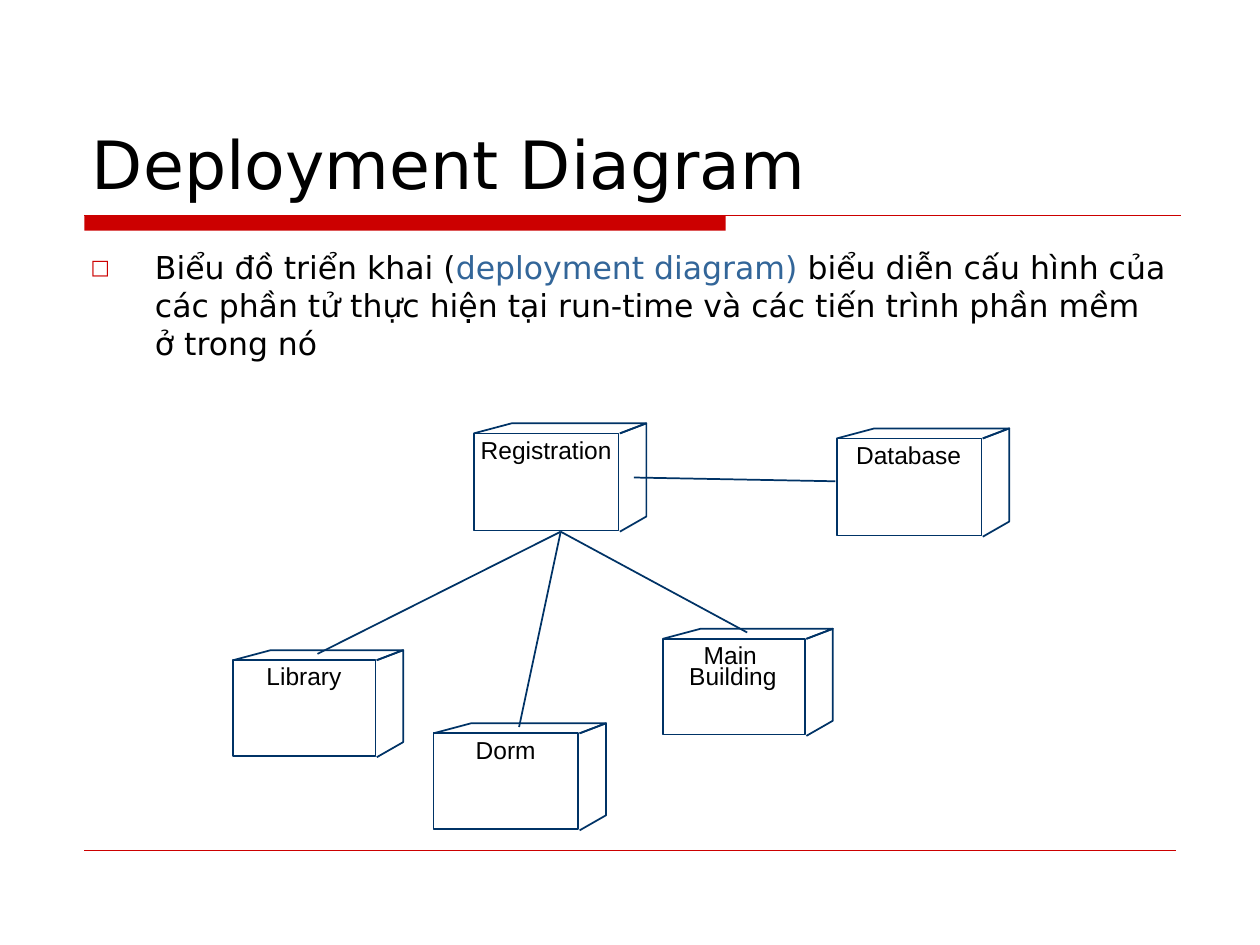
from lxml import etree
from pptx import Presentation
from pptx.dml.color import RGBColor
from pptx.enum.shapes import MSO_CONNECTOR, MSO_SHAPE
from pptx.enum.text import MSO_ANCHOR, MSO_AUTO_SIZE, PP_ALIGN
from pptx.oxml.ns import qn
from pptx.util import Emu, Pt

RED = RGBColor(0xCC, 0x00, 0x00)
NAVY = RGBColor(0x00, 0x33, 0x66)
BLUE = RGBColor(0x33, 0x66, 0x99)
BLACK = RGBColor(0x00, 0x00, 0x00)
RECT, STRAIGHT = MSO_SHAPE.RECTANGLE, MSO_CONNECTOR.STRAIGHT
LEFT = PP_ALIGN.LEFT
TOP, BOTTOM = MSO_ANCHOR.TOP, MSO_ANCHOR.BOTTOM
NO_FIT, GROW = MSO_AUTO_SIZE.NONE, MSO_AUTO_SIZE.SHAPE_TO_FIT_TEXT
HEAD_FONT, LABEL_FONT = "DejaVu Sans", "Arial"
COLS, ROWS = 100, 75
UNIT = 91440

NODES = [
    ((37.6, 33.6, 13.7, 8.6), [("Registration", 10.4)]),
    ((66.4, 34, 13.7, 8.6), [("Database", 8.4)]),
    ((18.5, 51.6, 13.5, 8.5), [("Library", 6)]),
    ((34.4, 57.4, 13.7, 8.5), [("Dorm", 4.8)]),
    ((52.6, 49.9, 13.5, 8.5), [("Main", 4.8), ("Building", 7.1)]),
]
HUB = (44.5, 42.2)
LINKS = [
    (HUB, (25.2, 51.9)),
    (HUB, (41.2, 57.7)),
    (HUB, (59.3, 50.2)),
    ((50.3, 37.9), (66.3, 38.2)),
]


def grid(*cells):
    """Turn grid columns and rows into slide lengths."""
    return [Emu(round(c * UNIT)) for c in cells]


def add_run(p, text, font, size, color):
    """Append one formatted run to a paragraph."""
    r = p.add_run()
    r.text = text
    r.font.name, r.font.size = font, Pt(size)
    r.font.color.rgb = color


def add_line(shapes, start, end, color, width):
    """Draw a straight line without shadow."""
    c = shapes.add_connector(STRAIGHT, *grid(*start, *end))
    c.line.color.rgb, c.line.width = color, Pt(width)
    etree.SubElement(c._element.spPr, qn("a:effectLst"))


def outline(sp):
    """Give a node face a navy outline and no fill."""
    sp.shadow.inherit = False
    sp.fill.background()
    sp.line.color.rgb, sp.line.width = NAVY, Pt(1)


def add_face(shapes, points):
    """Draw an open outline through the points."""
    start, *rest = [grid(*pt) for pt in points]
    fb = shapes.build_freeform(*start, scale=1.0)
    fb.add_line_segments(rest, close=False)
    outline(fb.convert_to_shape())


def add_label(shapes, box, text):
    """Write one unwrapped label line that grows with its text."""
    tf = shapes.add_textbox(*grid(*box)).text_frame
    tf.word_wrap, tf.auto_size = False, GROW
    tf.margin_left = tf.margin_right = tf.margin_top = tf.margin_bottom = 0
    p = tf.paragraphs[0]
    p.alignment = LEFT
    add_run(p, text, LABEL_FONT, 14, BLACK)


def add_node(shapes, box, labels):
    """Draw a deployment node as a box with its label lines."""
    x, y, w, h = box
    right, edge, top = x + w, x + w - 2.1, y + 0.8
    front = w - 2.2
    outline(shapes.add_shape(RECT, *grid(x, top, front, h - 0.9)))
    add_face(shapes, [(x, top), (x + 3, y), (right, y), (edge, top)])
    add_face(shapes, [(edge, top), (right, y),
                      (right, y + h - 1.2), (edge, y + h)])
    for i, (text, width) in enumerate(labels):
        left = x + (front - width) / 2
        add_label(shapes, (left, top + 0.1 + 1.7 * i, width, 2.3), text)


def add_rules(shapes, box):
    """Draw the title band with its thin line, and the footer line."""
    x, y, w, h = box
    band = shapes.add_shape(RECT, *grid(x, y, 50.9, 1.2))
    band.shadow.inherit = False
    band.fill.solid()
    band.fill.fore_color.rgb = RED
    band.line.fill.background()
    add_line(shapes, (x, y), (x + w, y), RED, 1)
    add_line(shapes, (x, y + h), (x + w - 0.4, y + h), RED, 0.25)


def place(sp, box, anchor):
    """Place a placeholder and return its first paragraph."""
    sp.left, sp.top, sp.width, sp.height = grid(*box)
    tf = sp.text_frame
    tf.word_wrap, tf.auto_size, tf.vertical_anchor = True, NO_FIT, anchor
    p = tf.paragraphs[0]
    p.alignment = LEFT
    p.space_before = Pt(0)
    return p


def add_title(sp, box):
    """Fill the title placeholder."""
    add_run(place(sp, box, BOTTOM), "Deployment Diagram", HEAD_FONT, 38, BLACK)


def add_body(sp, box):
    """Fill the body placeholder with the bulleted definition."""
    p = place(sp, box, TOP)
    pPr = p._p.get_or_add_pPr()
    indent, = grid(5.1)
    pPr.set("marL", str(indent))
    pPr.set("indent", str(-indent))
    color = etree.SubElement(pPr, qn("a:buClr"))
    etree.SubElement(color, qn("a:srgbClr"), val=str(RED))
    etree.SubElement(pPr, qn("a:buSzPct"), val="65000")
    etree.SubElement(pPr, qn("a:buFont"), typeface=HEAD_FONT)
    etree.SubElement(pPr, qn("a:buChar"), char="□")
    for text, tint in [
        ("Biểu đồ triển khai (", BLACK),
        ("deployment diagram)", BLUE),
        (" biểu diễn cấu hình của các phần tử thực hiện tại run-time "
         "và các tiến trình phần mềm ở trong nó", BLACK),
    ]:
        add_run(p, text, HEAD_FONT, 18, tint)


def add_diagram(shapes):
    """Draw the nodes and the links between them as one group."""
    group = shapes.add_group_shape().shapes
    for box, labels in NODES:
        add_node(group, box, labels)
    for start, end in LINKS:
        add_line(group, start, end, NAVY, 1)


def main():
    """Build and save the slide."""
    prs = Presentation()
    prs.slide_width, prs.slide_height = grid(COLS, ROWS)
    s = prs.slides.add_slide(prs.slide_layouts[1])
    add_title(s.shapes.title, (6.3, 3.3, 87.5, 13.3))
    add_body(s.placeholders[1], (6.2, 19.2, 87.5, 46.7))
    add_rules(s.shapes, (6.7, 17.1, 87, 50.4))
    add_diagram(s.shapes)
    prs.save("out.pptx")


if __name__ == "__main__":
    main()
